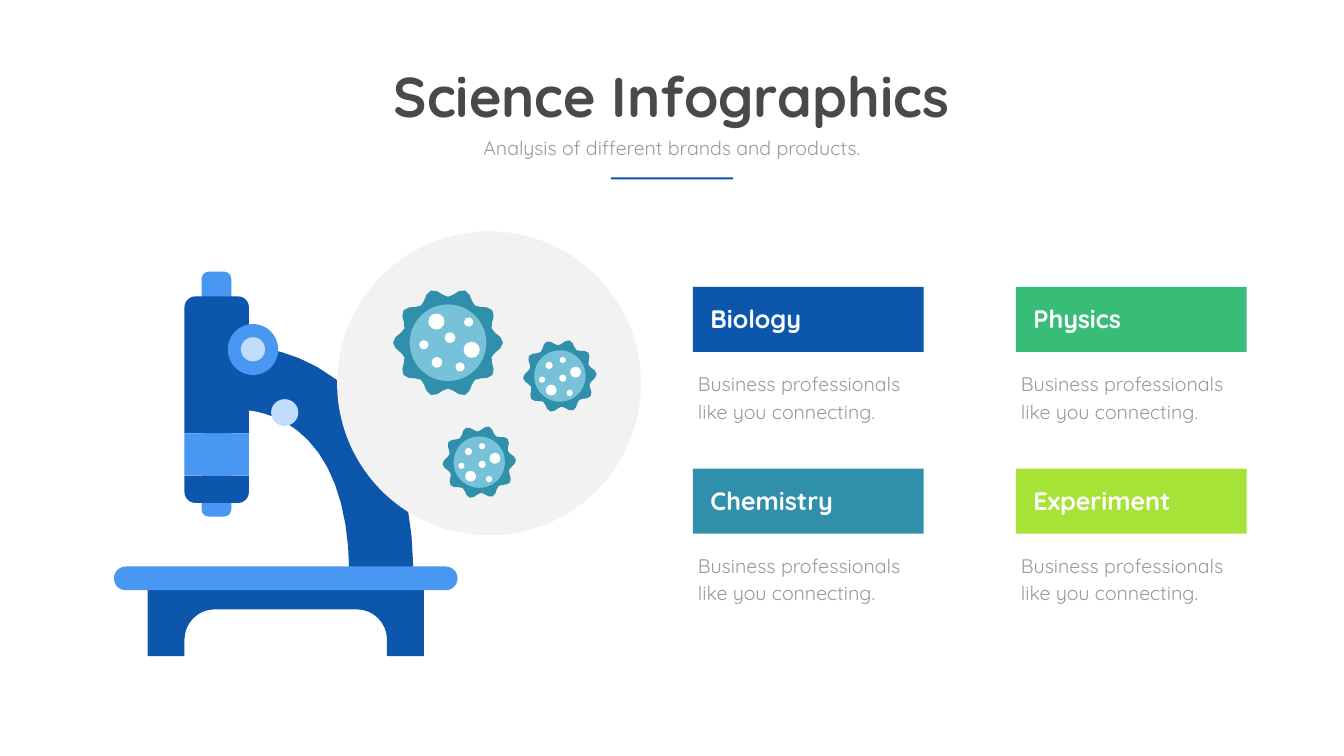
import math
from pptx import Presentation
from pptx import util as u
from pptx.dml import color as dml
from pptx.enum import shapes, text

PX = 9144
FONT = "Quicksand"
NAVY, BLUE, PALE, TEAL, AQUA = "0C56AB", "4897F2", "C2DCFB", "308FAB", "77C2D9"
WHITE, GREY, DARK = "FFFFFF", "999999", "494949"
KIND = shapes.MSO_SHAPE


def paint(shape, fill):
    shape.shadow.inherit = False
    shape.fill.solid()
    shape.fill.fore_color.rgb = dml.RGBColor.from_string(fill)
    shape.line.fill.background()


def write(frame, words, size, ink, bold=False, align=text.PP_ALIGN.LEFT, wrap=True):
    frame.word_wrap = wrap
    frame.auto_size = text.MSO_AUTO_SIZE.SHAPE_TO_FIT_TEXT
    frame.vertical_anchor = text.MSO_ANCHOR.TOP
    paragraph = frame.paragraphs[0]
    paragraph.alignment = align
    run = paragraph.add_run()
    run.text = words
    run.font.name = FONT
    run.font.size = u.Pt(size)
    run.font.bold = bold
    run.font.color.rgb = dml.RGBColor.from_string(ink)
    return paragraph


deck = Presentation()
deck.slide_width, deck.slide_height = 2667 * PX, 1500 * PX
slide = deck.slides.add_slide(deck.slide_layouts[5])

title = slide.shapes.title
title.left, title.top, title.width, title.height = (v * PX for v in (749, 117, 1167, 145))
write(title.text_frame, "Science Infographics", 80, DARK, True, text.PP_ALIGN.CENTER, False)
subtitle = slide.shapes.add_textbox(*(v * PX for v in (855, 265, 956, 57)))
write(subtitle.text_frame, "Analysis of different brands and products.", 28, GREY,
      align=text.PP_ALIGN.CENTER)
underline = slide.shapes.add_shape(KIND.RECTANGLE, *(v * PX for v in (1212, 352, 243, 4)))
paint(underline, NAVY)

microscope = slide.shapes.add_group_shape().shapes
legs = [(293, 1150), (293, 1302), (366, 1302), (366, 1269),
        (366, 1236, 393, 1209, 426, 1209), (708, 1209),
        (741, 1209, 768, 1236, 768, 1269), (768, 1302), (841, 1302), (841, 1150)]
arm = [(819, 1190), (692, 1184), (699, 1042, 671, 935, 611, 873),
       (554, 814, 486, 814, 486, 814), (484, 687),
       (489, 687, 607, 686, 703, 785), (788, 874, 828, 1010, 819, 1190)]
for steps in (legs, arm):
    points = [steps[0]]
    for step in steps[1:]:
        if len(step) == 2:
            points.append(step)
            continue
        x0, y0 = points[-1]
        x1, y1, x2, y2, x3, y3 = step
        for t in (i / 8 for i in range(1, 9)):
            a, b, c, d = (1 - t) ** 3, 3 * t * (1 - t) ** 2, 3 * t * t * (1 - t), t ** 3
            points.append((a * x0 + b * x1 + c * x2 + d * x3,
                           a * y0 + b * y1 + c * y2 + d * y3))
    points = [(x * PX, y * PX) for x, y in points]
    builder = microscope.build_freeform(*points[0])
    builder.add_line_segments(points[1:])
    paint(builder.convert_to_shape(), NAVY)

for kind, box, fill, corners in [
    (KIND.ROUNDED_RECTANGLE, (400, 539, 59, 486), BLUE, [0.24]),
    (KIND.ROUNDED_RECTANGLE, (226, 1124, 682, 47), BLUE, [0.5]),
    (KIND.OVAL, (538, 792, 54, 53), PALE, []),
    (KIND.ROUND_2_SAME_RECTANGLE, (366, 588, 128, 272), NAVY, [0.17, 0]),
    (KIND.ROUND_2_SAME_RECTANGLE, (366, 944, 128, 54), NAVY, [0, 0.41]),
    (KIND.RECTANGLE, (366, 860, 128, 84), BLUE, []),
    (KIND.OVAL, (452, 643, 100, 101), BLUE, []),
    (KIND.OVAL, (478, 669, 48, 48), PALE, []),
    (KIND.OVAL, (669, 459, 603, 603), "F2F2F2", []),
]:
    part = microscope.add_shape(kind, *(v * PX for v in box))
    paint(part, fill)
    for i, corner in enumerate(corners):
        part.adjustments[i] = corner

spots = [(-23, -42, 32), (47, 14, 32), (-48, 4, 18), (24, 48, 18),
         (41, -41, 18), (-22, 39, 21), (4, -10, 21)]
for cx, cy, size, turn in [(889, 680, 1, 0), (951, 917, 0.67, 105), (1111, 746, 0.67, 105)]:
    virus = slide.shapes.add_group_shape().shapes
    rim = []
    for angle in (math.radians(a) for a in range(0, 360, 6)):
        radius = size * (100 + 9 * math.cos(10 * angle))
        rim.append(((cx + radius * math.cos(angle)) * PX, (cy + radius * math.sin(angle)) * PX))
    builder = virus.build_freeform(*rim[0])
    builder.add_line_segments(rim[1:])
    spikes = builder.convert_to_shape()
    spikes.rotation = turn
    paint(spikes, TEAL)
    cos, sin = math.cos(math.radians(turn)), math.sin(math.radians(turn))
    for dx, dy, width, fill in [(0, 0, 152, AQUA)] + [(*spot, WHITE) for spot in spots]:
        width *= size
        x = cx + size * (dx * cos - dy * sin) - width / 2
        y = cy + size * (dx * sin + dy * cos) - width / 2
        paint(virus.add_shape(KIND.OVAL, *(int(v * PX) for v in (x, y, width, width))), fill)

subjects = [("Biology", NAVY), ("Chemistry", TEAL), ("Physics", "37BD78"), ("Experiment", "A7E237")]
for i, (subject, fill) in enumerate(subjects):
    left, top = 1375 + i // 2 * 641, 569 + i % 2 * 361
    banner = slide.shapes.add_shape(KIND.RECTANGLE, left * PX, top * PX, 458 * PX, 129 * PX)
    paint(banner, fill)
    summary = slide.shapes.add_textbox(left * PX, (top + 158) * PX, 452 * PX, 118 * PX)
    write(summary.text_frame, "Business professionals like you connecting.", 28,
          GREY).line_spacing = u.Pt(38.6)
    heading = slide.shapes.add_textbox((left + 25) * PX, (top + 27) * PX, 489 * PX, 71 * PX)
    write(heading.text_frame, subject, 36, WHITE, True)

deck.save("out.pptx")
